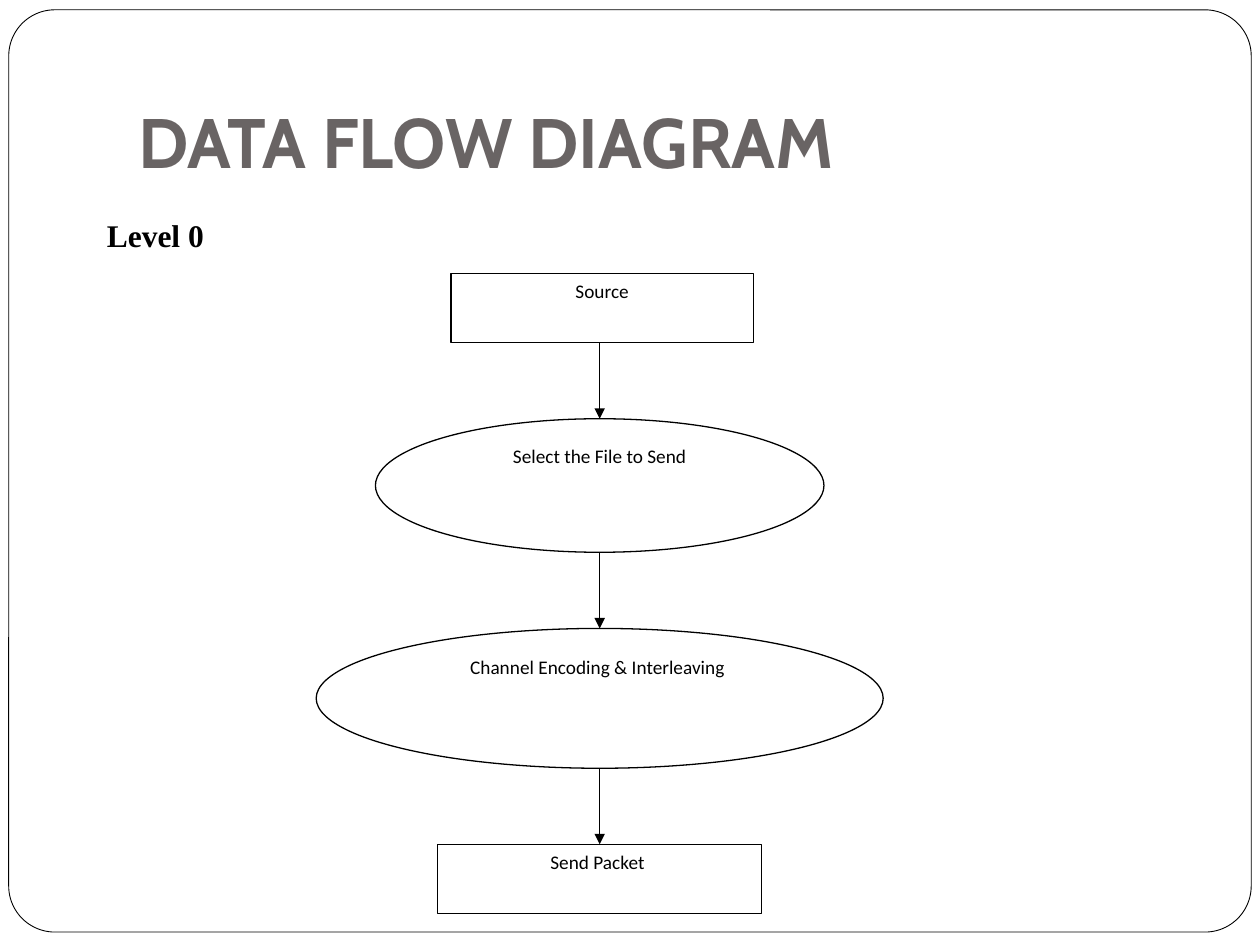
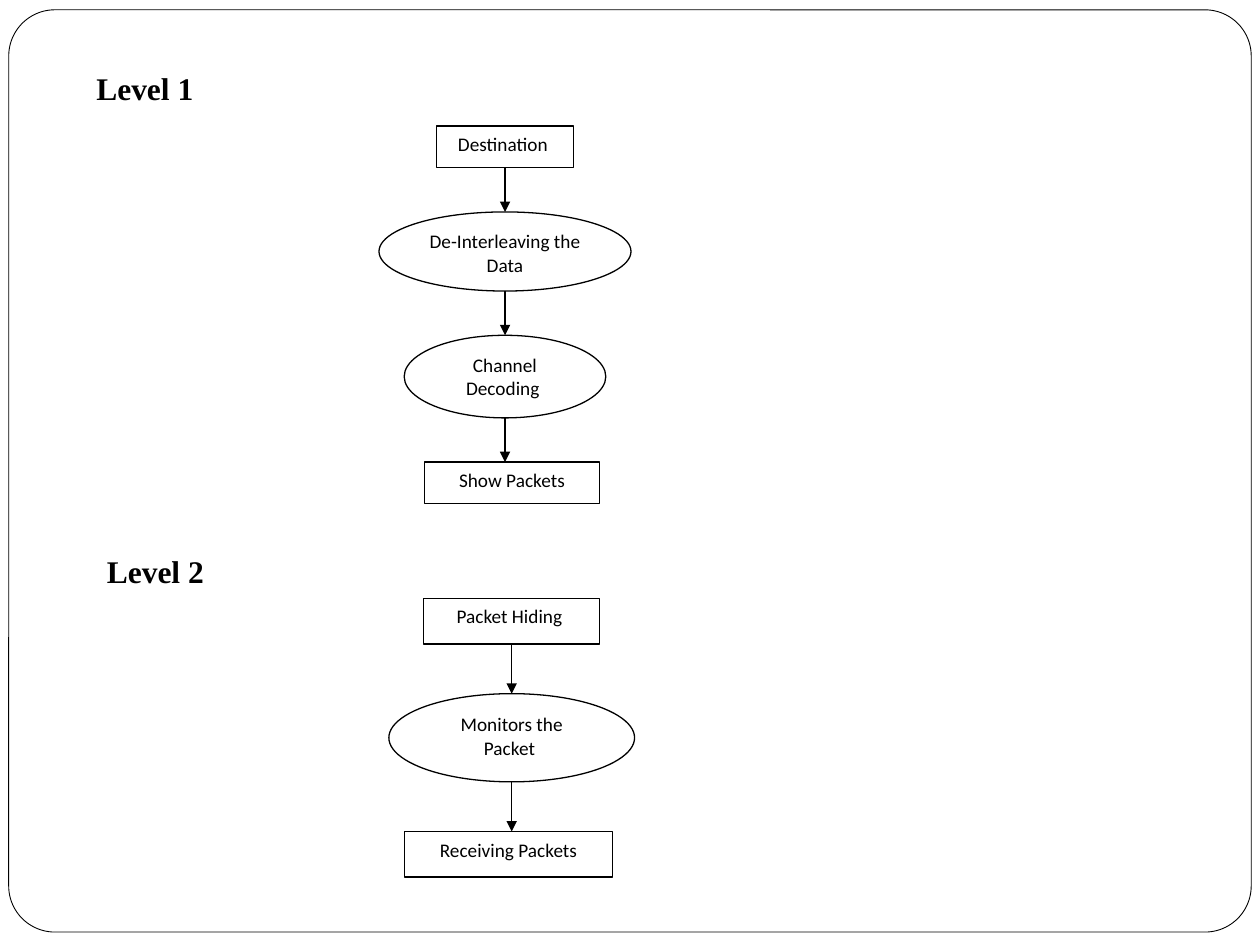
from pptx import Presentation
from pptx.dml.color import RGBColor
from pptx.enum import shapes, text
from pptx.oxml.ns import qn
from pptx.util import Pt
from lxml import etree

BLACK, WHITE, GREY = "000000", "FFFFFF", "696464"
TITLE_FONT, NODE_FONT, LABEL_FONT = "Cabin", "Calibri", "Times New Roman"
RECT = shapes.MSO_SHAPE.RECTANGLE
OVAL = shapes.MSO_SHAPE.OVAL


def rgb(value):
    return RGBColor.from_string(value)


def add_run(p, words, font, size, color=BLACK, bold=False):
    r = p.add_run()
    r.text = words
    r.font.name, r.font.size, r.font.bold = font, Pt(size), bold
    r.font.color.rgb = rgb(color)


def add_outlined(s, kind, left, top, width, height, weight):
    """Add a white preset shape with a black outline."""
    sp = s.shapes.add_shape(kind, Pt(left), Pt(top), Pt(width), Pt(height))
    sp.shadow.inherit = False
    sp.fill.solid()
    sp.fill.fore_color.rgb = rgb(WHITE)
    sp.line.color.rgb = rgb(BLACK)
    sp.line.width = Pt(weight)
    return sp


def add_framed_slide(prs):
    s = prs.slides.add_slide(prs.slide_layouts[6])
    frame = add_outlined(s, shapes.MSO_SHAPE.ROUNDED_RECTANGLE,
                         5, 5.6, 710, 527, 0.5)
    frame.adjustments[0] = 0.05
    return s


def add_text_box(s, left, top, width, height):
    tf = s.shapes.add_textbox(Pt(left), Pt(top), Pt(width), Pt(height)).text_frame
    tf.word_wrap = True
    return tf


def add_title(s, words):
    tf = add_text_box(s, 72, 21.6, 612, 90)
    tf.vertical_anchor = text.MSO_ANCHOR.BOTTOM
    tf.margin_bottom = Pt(7.2)
    add_run(tf.paragraphs[0], words, TITLE_FONT, 40, GREY, True)


def add_label(s, words, left, top):
    tf = add_text_box(s, left, top, 108, 29)
    add_run(tf.paragraphs[0], words, LABEL_FONT, 18, bold=True)


def add_node(s, kind, words, center, top, width, height):
    sp = add_outlined(s, kind, center - width / 2, top, width, height, 0.75)
    tf = sp.text_frame
    tf.word_wrap = True
    tf.vertical_anchor = text.MSO_ANCHOR.TOP
    p = tf.paragraphs[0]
    p.alignment = text.PP_ALIGN.CENTER
    p.space_after = Pt(10)
    add_run(p, words, NODE_FONT, 11)
    return sp


def add_arrow(s, x, top, bottom):
    arrow = s.shapes.add_connector(shapes.MSO_CONNECTOR.STRAIGHT,
                                   Pt(x), Pt(top), Pt(x), Pt(bottom))
    arrow.line.color.rgb = rgb(BLACK)
    arrow.line.width = Pt(0.75)
    etree.SubElement(arrow.line._get_or_add_ln(), qn("a:tailEnd"), type="triangle")
    etree.SubElement(arrow._element.spPr, qn("a:effectLst"))
    return arrow


def add_flow(s, axis, top, gap, nodes):
    """Stack nodes (kind, words, width, height, offset from axis) with arrows between."""
    above = None
    above_joins = False
    for kind, words, width, height, offset in nodes:
        node = add_node(s, kind, words, axis + offset, top, width, height)
        if above is not None:
            arrow = add_arrow(s, axis, top - gap, top)
            if above_joins:
                arrow.begin_connect(above, 2)
            if offset == 0:
                arrow.end_connect(node, 0)
        above = node
        above_joins = kind == RECT and offset == 0
        top += height + gap


def main():
    prs = Presentation()
    prs.slide_width, prs.slide_height = Pt(720), Pt(540)

    s = add_framed_slide(prs)
    add_title(s, "DATA FLOW DIAGRAM")
    add_flow(s, 342.7, 156.2, 43.5, [
        (RECT, "Source", 172.8, 39.6, 1.4),
        (OVAL, "Select the File to Send", 256.3, 76.3, 0),
        (OVAL, "Channel Encoding & Interleaving ", 324, 79.9, 0),
        (RECT, "Send Packet ", 185, 39.6, 0),
    ])
    add_label(s, "Level 0", 54, 120)

    s = add_framed_slide(prs)
    add_flow(s, 288.6, 72, 25.3, [
        (RECT, "Destination ", 78.5, 23.8, 0),
        (OVAL, "De-Interleaving the Data", 144, 45.2, 0),
        (OVAL, "Channel Decoding ", 115.2, 47.2, 0),
        (RECT, "Show Packets", 100, 23.8, 4),
    ])
    add_label(s, "Level 1", 48, 36)
    add_flow(s, 292.4, 342, 28.4, [
        (RECT, "Packet Hiding ", 100.8, 26, 0),
        (OVAL, "Monitors the Packet ", 140.4, 50.4, 0),
        (RECT, "Receiving Packets", 118.8, 26, -1.8),
    ])
    add_label(s, "Level 2", 54, 312)

    prs.save("out.pptx")


if __name__ == "__main__":
    main()
